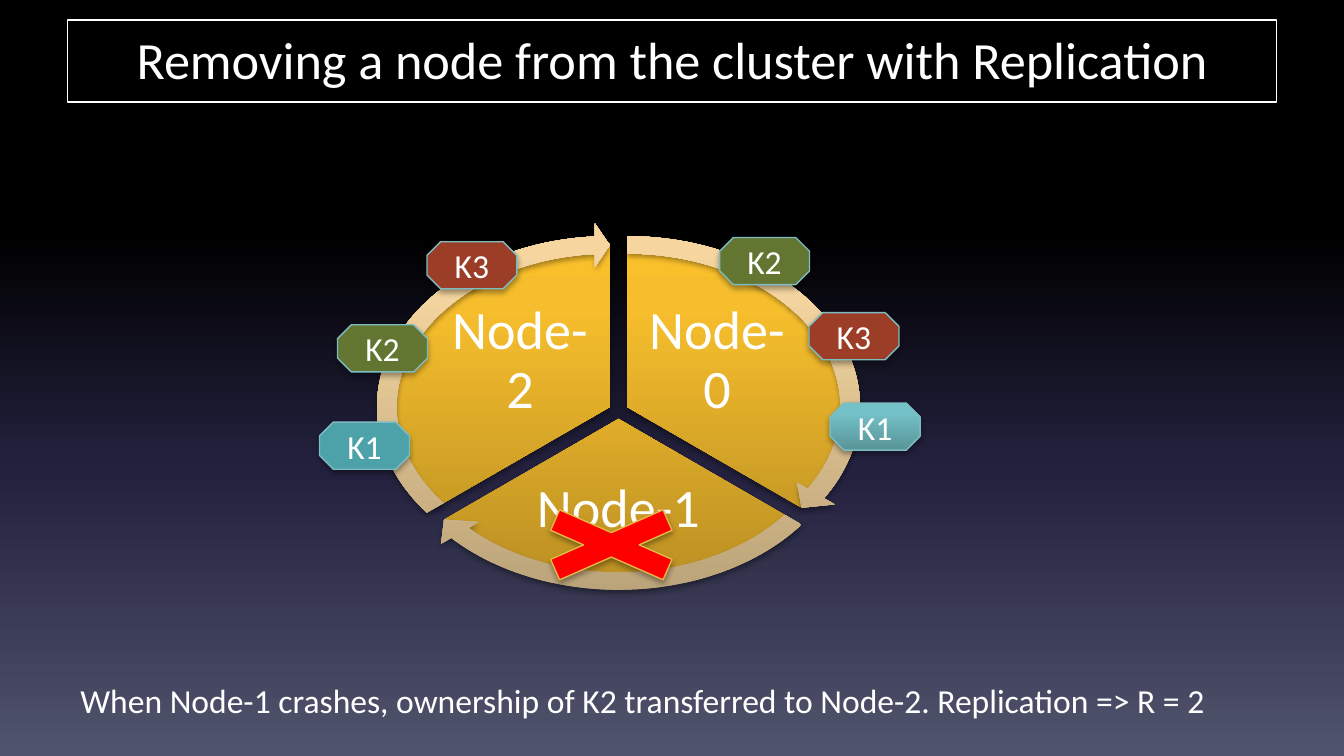
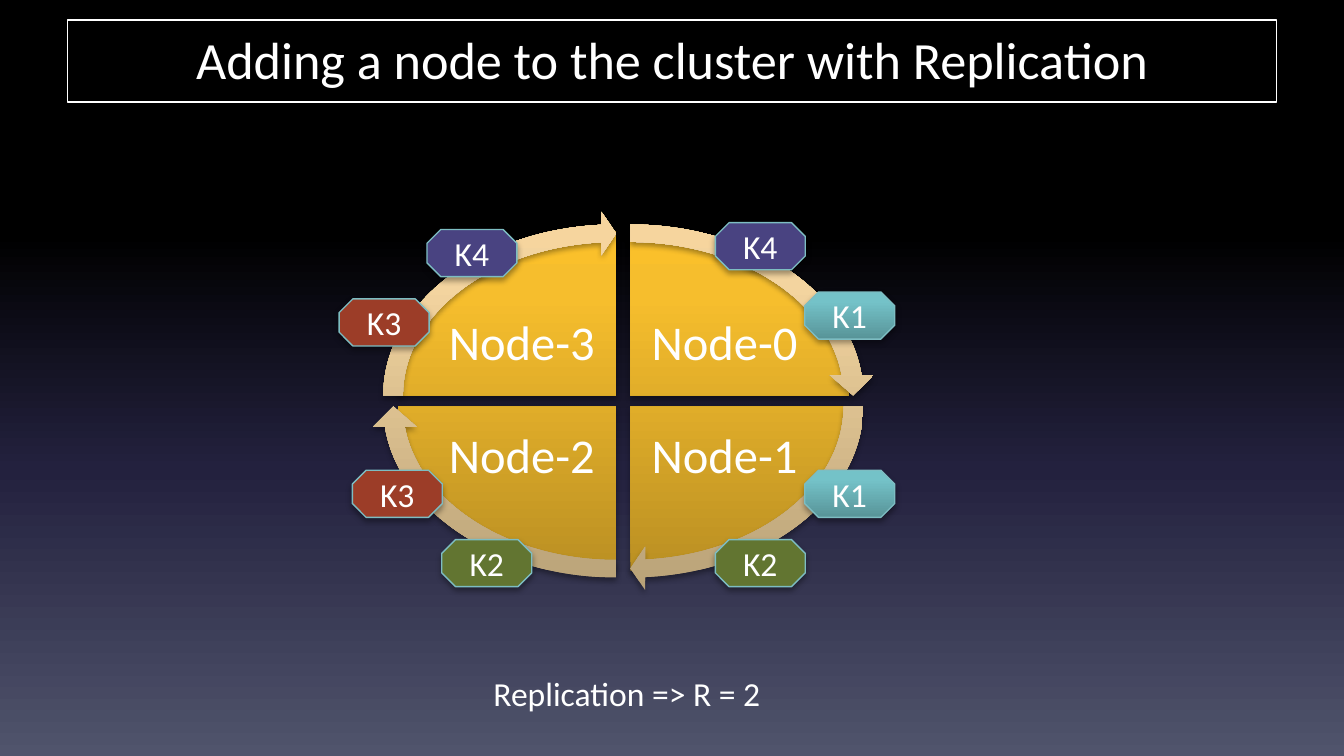
from math import acos, atan2, cos, hypot, pi, radians, sin, tan

from lxml.etree import Element, SubElement
from pptx import Presentation
from pptx.dml.color import RGBColor
from pptx.enum.shapes import MSO_SHAPE
from pptx.enum.text import MSO_ANCHOR, MSO_AUTO_SIZE, PP_ALIGN
from pptx.oxml.ns import qn
from pptx.util import Cm, Pt

FONT = "Calibri"
WHITE = "FFFFFF"
BACKDROP = [(0, "000000"), (31, "000000"), (62, "23213E"), (100, "50546C")]
GOLD = [(0, "BB9023"), (80, "F6BE2D"), (100, "FAC02B")]
SAND = [(0, "B9A278"), (80, "F3D49F"), (100, "F6D59E")]
AQUA = [(0, "589498"), (80, "74C2C8"), (100, "73C4CB")]
TEAL, GREEN, RUST, PURPLE = "4DA2A9", "627531", "9C3D28", "494381"
KEY_EDGE = "7DBDC2"

SLICE = (4.13, 3.1)
FRAME = (4.64, 3.48)
OUTER, MIDDLE, INNER = (4.4, 3.23), (4.21, 3.06), (4.03, 2.9)
SPREAD = (0.19, 0.15)
WING = 0.41
CURVE_STARTS = (0, 3, 10, 13)


def color(value):
    """Turn a hex string into a colour."""
    return RGBColor.from_string(value)


def paint_gradient(fill, element, stops, angle):
    """Fill with a linear gradient through the given stops."""
    fill.gradient()
    fill.gradient_angle = angle
    stop_list = next(element.iter(qn("a:gsLst")))
    for stop in list(stop_list):
        stop_list.remove(stop)
    for percent, value in stops:
        stop = SubElement(stop_list, qn("a:gs"), pos=str(percent * 1000))
        SubElement(stop, qn("a:srgbClr"), val=value)


def finish(shape, paint, edge=None):
    """Give a shape its fill, outline and soft shadow."""
    if isinstance(paint, str):
        shape.fill.solid()
        shape.fill.fore_color.rgb = color(paint)
    else:
        paint_gradient(shape.fill, shape.element, paint, 90)
    if edge:
        shape.line.color.rgb = color(edge)
        shape.line.width = Pt(0.75)
    else:
        shape.line.fill.background()
    shape.shadow.inherit = False
    effects = next(shape.element.iter(qn("a:effectLst")))
    shadow = SubElement(effects, qn("a:outerShdw"), blurRad=str(Pt(3.1)),
                        dist=str(Pt(1.8)), dir="5400000", rotWithShape="0")
    tint = SubElement(shadow, qn("a:srgbClr"), val="000000")
    SubElement(tint, qn("a:alpha"), val="35000")


def write(shape, text, size, align=PP_ALIGN.CENTER, anchor=MSO_ANCHOR.MIDDLE,
          inset=(0.25, 0.13), spacing=None):
    """Write one paragraph of white text into a shape."""
    frame = shape.text_frame
    frame.word_wrap = True
    frame.auto_size = MSO_AUTO_SIZE.NONE
    frame.vertical_anchor = anchor
    frame.margin_left = frame.margin_right = Cm(inset[0])
    frame.margin_top = frame.margin_bottom = Cm(inset[1])
    para = frame.paragraphs[0]
    para.alignment = align
    if spacing:
        para.line_spacing = spacing
    span = para.add_run()
    span.text = text
    span.font.name = FONT
    span.font.size = Pt(size)
    span.font.color.rgb = color(WHITE)


def add_titled_page(deck, title):
    """Add a page with its framed title."""
    page = deck.slides.add_slide(deck.slide_layouts[5])
    box = page.shapes.title
    box.left, box.top, box.width, box.height = Cm(1.27), Cm(0.38), Cm(22.86), Cm(1.55)
    box.line.color.rgb = color(WHITE)
    box.line.width = Pt(0.75)
    write(box, title, 28, anchor=MSO_ANCHOR.TOP)
    return page


def add_centered(add, center, size, *kind):
    """Place a shape or text box around a centre point."""
    x, y = center
    width, height = size
    return add(*kind, Cm(x - width / 2), Cm(y - height / 2), Cm(width), Cm(height))


def ray_parameter(radii, angle):
    """Return the ellipse parameter where a ray of this angle crosses it."""
    return atan2(sin(angle) / radii[1], cos(angle) / radii[0])


def on_ellipse(radii, parameter, lead=0):
    """Return the point of an ellipse at a parameter, led along its tangent."""
    return (radii[0] * (cos(parameter) - lead * sin(parameter)),
            radii[1] * (sin(parameter) + lead * cos(parameter)))


def arc(radii, start, end, depth):
    """Return two Bézier curves from the start ray to the line behind the end ray."""
    along_x, along_y = -radii[0] * sin(end), radii[1] * cos(end)
    first = ray_parameter(radii, start)
    last = atan2(along_y, along_x) - acos(-depth / hypot(along_x, along_y))
    half = (last - first) % (2 * pi) / 2
    lead = 4 / 3 * tan(half / 4)
    points = [on_ellipse(radii, first)]
    for begin in (first, first + half):
        points += [on_ellipse(radii, begin, lead),
                   on_ellipse(radii, begin + half, -lead),
                   on_ellipse(radii, begin + half)]
    return points


def arrow_outline(start, end):
    """Return the curve and corner points of an arrow around the origin."""
    depth = 0.28 + 0.1 * abs(cos(end))
    outer = arc(OUTER, start, end, depth)
    inner = arc(INNER, start, end, depth)
    base_x = (outer[-1][0] + inner[-1][0]) / 2
    base_y = (outer[-1][1] + inner[-1][1]) / 2
    wing_x, wing_y = WING * cos(end), WING * sin(end)
    tip = on_ellipse(MIDDLE, ray_parameter(MIDDLE, end))
    head = [(base_x + wing_x, base_y + wing_y), tip, (base_x - wing_x, base_y - wing_y)]
    return outer + head + inner[::-1]


def bend(shape):
    """Turn the arc segments into curves and keep only the arrow contour."""
    outline = next(shape.element.iter(qn("a:path")))
    moves = outline.findall(qn("a:moveTo"))
    outline.remove(moves[0])
    outline.remove(moves[-1])
    lines = outline.findall(qn("a:lnTo"))
    for index in CURVE_STARTS:
        curve = Element(qn("a:cubicBezTo"))
        lines[index].addprevious(curve)
        for line in lines[index:index + 3]:
            curve.append(line[0])
            outline.remove(line)


def add_arrow(shapes, center, start, end):
    """Draw one curved arrow of the ring inside its full frame."""
    def place(x, y):
        return Cm(center[0] + x), Cm(center[1] + y)

    points = [place(x, y) for x, y in arrow_outline(start, end)]
    builder = shapes.build_freeform(*place(-FRAME[0], -FRAME[1]))
    builder.move_to(*points[0])
    builder.add_line_segments(points[1:], close=True)
    builder.move_to(*place(*FRAME))
    arrow = builder.convert_to_shape()
    bend(arrow)
    finish(arrow, SAND)


def add_ring(page, center, label_sizes, label_reach, font_size):
    """Draw the cluster as equal slices with labels and arrows around them."""
    shapes = page.shapes.add_group_shape().shapes
    span = 360 / len(label_sizes)
    arrows = []
    for index, label_size in enumerate(label_sizes):
        start = -90 + index * span
        end = start + span
        middle = radians(start + span / 2)
        hub, label_center = [
            (center[0] + reach[0] * cos(middle), center[1] + reach[1] * sin(middle))
            for reach in (SPREAD, label_reach)]
        piece = add_centered(shapes.add_shape, hub, [2 * radius for radius in SLICE],
                             MSO_SHAPE.PIE)
        piece.adjustments[0] = start % 360 * 0.6
        piece.adjustments[1] = end % 360 * 0.6
        finish(piece, GOLD)
        label = add_centered(shapes.add_textbox, label_center, label_size)
        write(label, f"Node-{index}", font_size, inset=(0.1, 0.1), spacing=0.9)
        arrows.append((hub, radians(start), radians(end)))
    for arrow in arrows:
        add_arrow(shapes, *arrow)


def add_keys(page, keys):
    """Place the key badges, each given as name, paint, left and top."""
    for name, paint, left, top in keys:
        badge = page.shapes.add_shape(MSO_SHAPE.OCTAGON, Cm(left), Cm(top), Cm(1.7), Cm(0.89))
        badge.adjustments[0] = 0.293
        finish(badge, paint, KEY_EDGE)
        write(badge, name, 18)


def add_cross(page, left, top):
    """Mark the crashed node with a red cross."""
    cross = page.shapes.add_shape(MSO_SHAPE.MATH_MULTIPLY, Cm(left), Cm(top), Cm(4.09), Cm(1.8))
    cross.adjustments[0] = 0.235
    finish(cross, "FF0000", "E5B844")


def add_note(page, text, left, top, width, align):
    """Write the remark below the ring."""
    box = page.shapes.add_textbox(Cm(left), Cm(top), Cm(width), Cm(0.76))
    write(box, text, 18, align, MSO_ANCHOR.TOP)


def build_removal(deck):
    """Build the page about removing a node."""
    page = add_titled_page(deck, "Removing a node from the cluster with Replication")
    side = (2.95, 1.85)
    add_ring(page, (11.69, 7.77), [side, (4.42, 1.63), side], (2.15, 1.87), 29)
    add_keys(page, [("K1", AQUA, 15.69, 7.62), ("K2", GREEN, 13.6, 4.49),
                    ("K3", RUST, 8.07, 4.57)])
    add_cross(page, 9.51, 9.4)
    add_note(page, "When Node-1 crashes, ownership of K2 transferred to Node-2. "
             "Replication => R = 2", 1.27, 12.73, 22.6, PP_ALIGN.LEFT)
    add_keys(page, [("K1", TEAL, 6.04, 7.98), ("K3", RUST, 15.29, 5.91),
                    ("K2", GREEN, 6.38, 6.14)])


def build_addition(deck):
    """Build the page about adding a node."""
    page = add_titled_page(deck, "Adding a node to the cluster with Replication")
    add_ring(page, (11.78, 7.58), [(3.05, 1.7)] * 4, (2.71, 1.51), 26)
    add_keys(page, [("K1", AQUA, 15.21, 5.52), ("K2", GREEN, 13.52, 10.2),
                    ("K4", PURPLE, 8.07, 4.34)])
    add_note(page, "Replication => R = 2", 3.05, 12.59, 17.6, PP_ALIGN.CENTER)
    add_keys(page, [("K3", RUST, 6.66, 8.89), ("K1", AQUA, 15.21, 8.89),
                    ("K2", GREEN, 8.35, 10.2), ("K3", RUST, 6.41, 5.65),
                    ("K4", PURPLE, 13.52, 4.21)])


def main():
    """Build and save the deck."""
    deck = Presentation()
    deck.slide_width, deck.slide_height = Cm(25.4), Cm(14.29)
    master = deck.slide_master
    paint_gradient(master.background.fill, master.element, BACKDROP, 270)
    build_removal(deck)
    build_addition(deck)
    deck.save("out.pptx")


if __name__ == "__main__":
    main()
